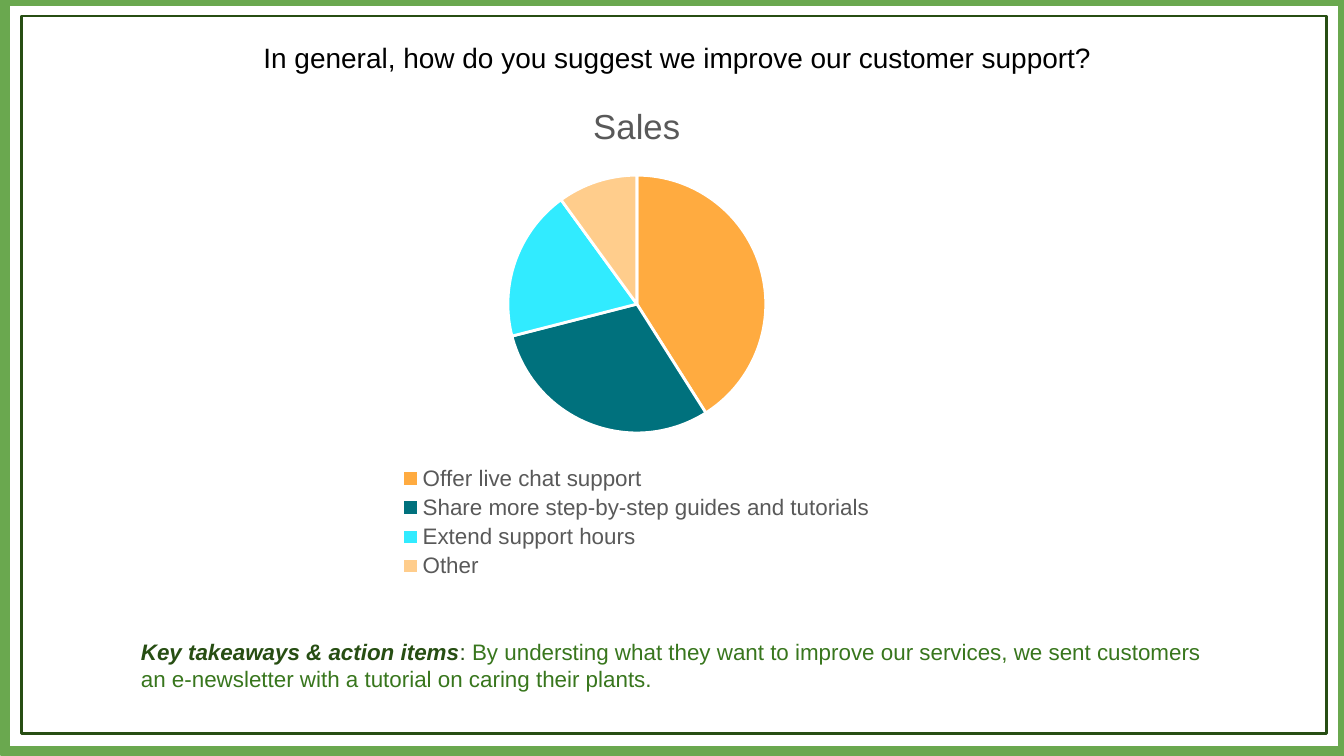
from pptx import Presentation
from pptx.chart.data import CategoryChartData
from pptx.dml.color import RGBColor
from pptx.enum.chart import XL_CHART_TYPE, XL_LEGEND_POSITION
from pptx.enum.shapes import MSO_SHAPE
from pptx.enum.text import MSO_ANCHOR, PP_ALIGN
from pptx.util import Pt

BLACK = RGBColor(0x00, 0x00, 0x00)
WHITE = RGBColor(0xFF, 0xFF, 0xFF)
GREY = RGBColor(0x59, 0x59, 0x59)
LIGHT_GREEN = RGBColor(0x6A, 0xA8, 0x4F)
MID_GREEN = RGBColor(0x38, 0x76, 0x1D)
DARK_GREEN = RGBColor(0x27, 0x4E, 0x13)
ORANGE = RGBColor(0xFF, 0xAB, 0x40)
TEAL = RGBColor(0x00, 0x71, 0x7D)
CYAN = RGBColor(0x31, 0xEB, 0xFF)
PEACH = RGBColor(0xFF, 0xCD, 0x8C)
FONT = "Arial"


def style(font, size, color):
    """Set typeface, size and colour of a font."""
    font.name = FONT
    font.size = Pt(size)
    font.color.rgb = color


def set_frame(frame):
    """Wrap the text from the top, with equal insets."""
    frame.word_wrap = True
    frame.vertical_anchor = MSO_ANCHOR.TOP
    frame.margin_left = frame.margin_right = Pt(7.2)
    frame.margin_top = frame.margin_bottom = Pt(7.2)


prs = Presentation()
prs.slide_width, prs.slide_height = Pt(720), Pt(405)
slide = prs.slides.add_slide(prs.slide_layouts[5])

# Double border around the slide
borders = [
    (2.16, 0, 717.84, 402.5, LIGHT_GREEN, 6),
    (11.5, 8.65, 699.1, 384.5, DARK_GREEN, 1.5),
]
for left, top, width, height, color, weight in borders:
    border = slide.shapes.add_shape(
        MSO_SHAPE.RECTANGLE, Pt(left), Pt(top), Pt(width), Pt(height))
    border.shadow.inherit = False
    border.fill.background()
    border.line.color.rgb = color
    border.line.width = Pt(weight)

# Survey question
question = slide.shapes.title
question.left, question.top = Pt(127.4), Pt(14.4)
question.width, question.height = Pt(471), Pt(32.4)
set_frame(question.text_frame)
question.text_frame.text = (
    "In general, how do you suggest we improve our customer support?")
question_line = question.text_frame.paragraphs[0]
question_line.alignment = PP_ALIGN.CENTER
style(question_line.runs[0].font, 15, BLACK)

# Answers
answers = [
    ("Offer live chat support", 41, ORANGE),
    ("Share more step-by-step guides and tutorials", 30, TEAL),
    ("Extend support hours", 19, CYAN),
    ("Other", 10, PEACH),
]
answer_data = CategoryChartData()
answer_data.categories = [answer for answer, _, _ in answers]
answer_data.add_series("Sales", [share for _, share, _ in answers])
pie = slide.shapes.add_chart(
    XL_CHART_TYPE.PIE, Pt(120.2), Pt(42.5), Pt(442), Pt(270), answer_data).chart
style(pie.font, 10, BLACK)

pie.has_title = True
pie.chart_title.text_frame.text = "Sales"
pie_title_font = pie.chart_title.text_frame.paragraphs[0].runs[0].font
style(pie_title_font, 18.6, GREY)
pie_title_font.bold = False
pie.chart_title.include_in_layout = False

pie.has_legend = True
pie.legend.position = XL_LEGEND_POSITION.BOTTOM
pie.legend.include_in_layout = False
style(pie.legend.font, 12, GREY)

pie.plots[0].vary_by_categories = True
for index, (_, _, color) in enumerate(answers):
    slice_format = pie.series[0].points[index].format
    slice_format.fill.solid()
    slice_format.fill.fore_color.rgb = color
    slice_format.line.color.rgb = WHITE
    slice_format.line.width = Pt(1.5)

# Takeaways
takeaways = slide.shapes.add_textbox(Pt(68.4), Pt(334.8), Pt(589.7), Pt(43.9))
set_frame(takeaways.text_frame)
takeaway_parts = [
    ("Key takeaways & action items", DARK_GREEN, True),
    (":", DARK_GREEN, False),
    (" By understing what they want to improve our services, we sent customers "
     "an e-newsletter with a tutorial on caring their plants.", MID_GREEN, False),
]
for words, color, emphasis in takeaway_parts:
    run = takeaways.text_frame.paragraphs[0].add_run()
    run.text = words
    style(run.font, 12, color)
    run.font.bold = run.font.italic = emphasis

prs.save("out.pptx")
